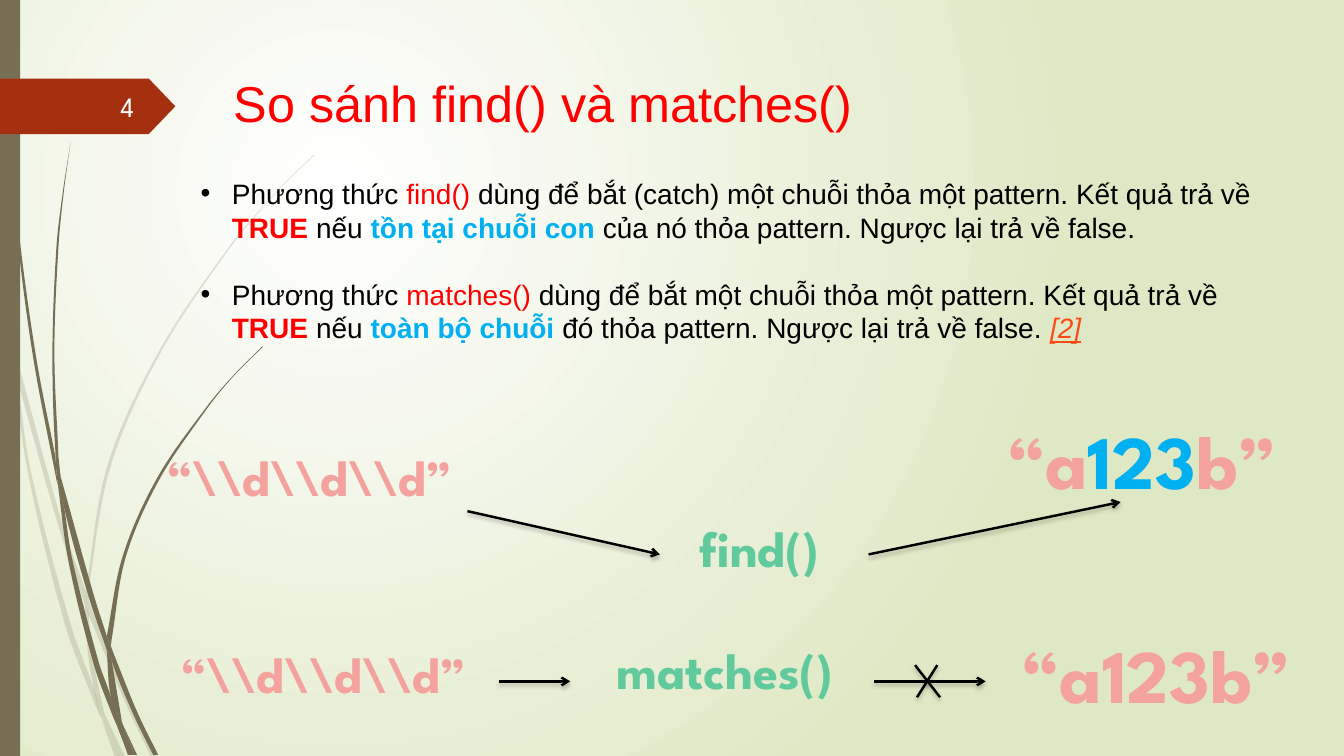
from math import dist
from typing import NamedTuple

from pptx import Presentation
from pptx.dml.color import RGBColor
from pptx.enum.shapes import MSO_CONNECTOR, MSO_SHAPE
from pptx.enum.text import MSO_ANCHOR, MSO_AUTO_SIZE, PP_ALIGN
from pptx.oxml.ns import qn
from pptx.oxml.xmlchemy import OxmlElement
from pptx.util import Cm, Pt

STRAIGHT = MSO_CONNECTOR.STRAIGHT
RECTANGLE, PENTAGON = MSO_SHAPE.RECTANGLE, MSO_SHAPE.PENTAGON
TOP, MIDDLE = MSO_ANCHOR.TOP, MSO_ANCHOR.MIDDLE
NO_AUTOFIT = MSO_AUTO_SIZE.NONE
LEFT, CENTER, RIGHT = PP_ALIGN.LEFT, PP_ALIGN.CENTER, PP_ALIGN.RIGHT

SANS, DISPLAY = "Arial", "League Spartan"
BLACK, WHITE, RED, BLUE = "000000", "FEFFFF", "FF0000", "00B0F0"
OLIVE, RUST, ORANGE = "766F54", "A53010", "FB4A18"
PINK, GREEN = "F3A29D", "60CA9D"

STEM_SCALE = 2.54
PALE_STEMS = [
    ([(.11, 3.5), (.09, 3.22), (0, 2.82)], [(0, 2.99), (.1, 3.44)]),
    ([(.17, 3.76), (.58, 5.22), (.84, 5.99)], [(.85, 5.86), (.62, 5.2), (.14, 3.45)]),
    ([(.88, 6.1), (1.23, 6.94), (1.5, 7.51)],
     [(1.55, 7.51), (1.27, 6.92), (.92, 6.07), (.88, 5.96)]),
    ([(1.05, 7.11), (1.19, 7.51)], [(1.24, 7.51)]),
    ([(.11, 3.5), (.28, 4.7), (.65, 6.21), (.92, 6.93), (1.01, 7.14)],
     [(.99, 7.07), (.93, 6.83), (.7, 6.19), (.31, 4.69), (.17, 3.76)]),
    ([(.84, 5.99), (.87, 6.46), (.93, 6.83), (.96, 6.92), (1.05, 7.11)],
     [(1.03, 7.06), (.91, 6.46), (.88, 6.08)]),
    ([(3.12, 1.53), (2.89, 1.75), (2.68, 1.97), (2.28, 2.44), (1.58, 3.48),
      (1.07, 4.61), (.85, 5.86)],
     [(.88, 5.96), (.88, 5.84), (1.1, 4.62), (1.6, 3.49), (2.29, 2.45),
      (2.68, 1.98), (2.9, 1.75), (3.12, 1.54)]),
    ([(1.01, 7.14), (1.14, 7.51)], [(1.19, 7.51)]),
    ([(.88, 6.1), (.88, 5.96)], [(.85, 5.86), (.84, 5.99)]),
    ([(.93, 6.83), (.99, 7.07), (1.19, 7.51)], [(1.05, 7.11), (.96, 6.92)]),
]
DARK_STEMS = [
    ([(.03, 0), (.04, .48), (.07, 1.1), (.17, 2.33), (.33, 3.55), (.57, 4.81)],
     [(.55, 4.53), (.36, 3.55), (.19, 2.32), (.08, 1.09), (.05, .48), (.04, 0)]),
    ([(.6, 4.72), (.64, 5.05), (.88, 5.92), (1.06, 6.45)],
     [(1.06, 6.31), (.93, 5.9), (.6, 4.72)]),
    ([(1.1, 6.41), (1.11, 6.56), (1.32, 7.08), (1.52, 7.49)],
     [(1.57, 7.49), (1.36, 7.06), (1.13, 6.49)]),
    ([(.57, 4.77), (.68, 5.57), (.93, 6.59), (1.11, 7.08), (1.17, 7.22)],
     [(1.16, 7.17), (1.1, 6.91), (.98, 6.57), (.72, 5.56), (.64, 5.05)]),
    ([(.7, 1.41), (.62, 1.93), (.56, 2.45), (.52, 3.49), (.55, 4.49), (.6, 4.72)],
     [(.58, 4.53), (.54, 3.49), (.58, 2.45), (.63, 1.93), (.7, 1.41)]),
    ([(1.22, 7.19), (1.33, 7.49)], [(1.36, 7.49)]),
    ([(.55, 4.49), (.57, 4.77), (.64, 5.05)], [(.6, 4.72)]),
    ([(2.6, 3.44), (2.31, 3.73), (2.04, 4.05), (1.56, 4.74), (1.22, 5.51), (1.06, 6.31)],
     [(1.1, 6.41), (1.11, 6.33), (1.25, 5.52), (1.58, 4.76), (2.05, 4.06),
      (2.31, 3.74), (2.61, 3.44)]),
    ([(1.17, 7.22), (1.27, 7.49)], [(1.31, 7.49)]),
    ([(1.06, 6.45), (1.1, 6.91), (1.22, 7.19)], [(1.21, 7.16), (1.11, 6.56)]),
    ([(1.06, 6.31), (1.06, 6.45)], [(1.11, 6.56), (1.1, 6.41)]),
    ([(1.1, 6.91), (1.17, 7.22), (1.3, 7.49)], [(1.33, 7.49), (1.22, 7.19), (1.16, 7.06)]),
]


class Box(NamedTuple):
    left: float
    top: float
    width: float
    height: float

    def inner(self, left, top, width, height):
        return Box(self.left + left, self.top + top, width, height)

    def lengths(self):
        return [Cm(value) for value in self]


def color(hex_text):
    return RGBColor.from_string(hex_text)


def add_element(parent, tag, **attributes):
    element = OxmlElement(tag)
    for name, value in attributes.items():
        element.set(name, str(value))
    parent.append(element)
    return element


def paint(shape, fill, opacity=100):
    shape.shadow.inherit = False
    shape.fill.solid()
    shape.fill.fore_color.rgb = color(fill)
    shape.line.fill.background()
    if opacity < 100:
        tint = shape.fill._xPr.find(".//" + qn("a:srgbClr"))
        add_element(tint, "a:alpha", val=opacity * 1000)


def add_span(para, text, size=20, font=SANS, ink=BLACK, bold=False, italic=False, underline=False):
    span = para.add_run()
    span.text = text
    span.font.size, span.font.name = Pt(size), font
    span.font.color.rgb = color(ink)
    span.font.bold, span.font.italic, span.font.underline = bold, italic, underline


def set_frame(frame, anchor=TOP):
    frame.word_wrap, frame.auto_size, frame.vertical_anchor = True, NO_AUTOFIT, anchor


def add_label(page, box, spans, align=CENTER, anchor=TOP, **style):
    frame = page.shapes.add_textbox(*box.lengths()).text_frame
    set_frame(frame, anchor)
    para = frame.paragraphs[0]
    para.alignment = align
    for text, ink in spans:
        add_span(para, text, ink=ink, **style)


def place(holder, box):
    holder.left, holder.top, holder.width, holder.height = box.lengths()


def curve_points(side):
    padded = [side[0], *side, side[-1]]
    for before, start, end, after in zip(padded, padded[1:], padded[2:], padded[3:]):
        reach = dist(start, end) / 3
        lead, trail = reach / dist(before, end), reach / dist(start, after)
        yield tuple(s + (e - b) * lead for b, s, e in zip(before, start, end))
        yield tuple(e - (a - s) * trail for s, e, a in zip(start, end, after))
        yield end


def add_stem(page, box, sides, opacity):
    near, far = ([side[0], *curve_points(side)] for side in sides)
    outline = [(Cm(box.left + x * STEM_SCALE), Cm(box.top + y * STEM_SCALE))
               for x, y in near + far]
    builder = page.shapes.build_freeform(*outline[0], scale=1.0)
    builder.add_line_segments(outline[1:], close=True)
    stem = builder.convert_to_shape()
    lines = list(stem._element.iter(qn("a:lnTo")))
    joint = len(near) - 1
    for run in (lines[:joint], lines[joint + 1:]):
        for first, second, third in zip(run[::3], run[1::3], run[2::3]):
            curve = OxmlElement("a:cubicBezTo")
            first.addprevious(curve)
            for line in (first, second, third):
                curve.append(line[0])
                line.getparent().remove(line)
    paint(stem, OLIVE, opacity)


def draw_background(page):
    fill = page.background.fill
    fill.gradient()
    for stop, position, tint in zip(fill.gradient_stops, (0, 1), ("FFFFFF", "DFE8C4")):
        stop.position, stop.color.rgb = position, color(tint)
    gradient = page._element.find(".//" + qn("a:gradFill"))
    gradient.remove(gradient.find(qn("a:lin")))
    circle = add_element(gradient, "a:path", path="circle")
    add_element(circle, "a:fillToRect", l=50000, t=50000, r=100000, b=100000)


def draw_decoration(page, box):
    for stems, opacity in ((PALE_STEMS, 20), (DARK_STEMS, 100)):
        for sides in stems:
            add_stem(page, box, sides, opacity)
    side_bar = box.inner(0, 0, .51, box.height)
    paint(page.shapes.add_shape(RECTANGLE, *side_bar.lengths()), OLIVE)


def draw_number_tag(page, box, number):
    tag = page.shapes.add_shape(PENTAGON, *box.lengths())
    tag.adjustments[0] = .48
    paint(tag, RUST)
    add_label(page, box.inner(1.47, .2, 2.16, 1.02), [(number, WHITE)],
              align=RIGHT, anchor=MIDDLE, font=DISPLAY)


def fill_title(page, box, text):
    title = page.shapes.title
    place(title, box)
    set_frame(title.text_frame)
    para = title.text_frame.paragraphs[0]
    para.alignment = LEFT
    add_span(para, text, size=36, ink=RED)


def fill_list(page, box, items):
    body = page.placeholders[1]
    place(body, box)
    frame = body.text_frame
    set_frame(frame)
    for index, spans in enumerate(items):
        para = frame.add_paragraph() if index else frame.paragraphs[0]
        para.space_before = Pt(24 if index else 0)
        settings = para._p.get_or_add_pPr()
        settings.set("marL", str(Cm(.79)))
        settings.set("indent", str(-Cm(.79)))
        add_element(settings, "a:buFont", typeface=SANS)
        add_element(settings, "a:buChar", char="•")
        for text, style in spans:
            add_span(para, text, **style)


def add_line(page, box, start, end, arrow=True):
    ends = [Cm(value) for x, y in (start, end) for value in (box.left + x, box.top + y)]
    connector = page.shapes.add_connector(STRAIGHT, *ends)
    connector.line.width = Pt(1.75)
    connector.line.color.rgb = color(BLACK)
    if arrow:
        add_element(connector.line._get_or_add_ln(), "a:tailEnd", type="arrow")
    effects = add_element(connector._element.spPr, "a:effectLst")
    shadow = add_element(effects, "a:outerShdw", blurRad=Pt(3), dist=Pt(2), dir=5400000)
    tint = add_element(shadow, "a:srgbClr", val=BLACK)
    add_element(tint, "a:alpha", val=25000)


def draw_comparison(page, box):
    pattern = [("“\\\\d\\\\d\\\\d”", PINK)]
    found = [("“a", PINK), ("123", BLUE), ("b”", PINK)]
    labels = [((21.03, 0, 9.35, 2.57), found, 54),
              ((21.77, 5.38, 8.59, 2.57), [("“a123b”", PINK)], 54),
              ((12.09, 2.59, 7.95, 1.8), [("find()", GREEN)], 36),
              ((11.22, 5.66, 7.95, 1.8), [("matches()", GREEN)], 36),
              ((0, .81, 9.45, 1.8), pattern, 36), ((.36, 5.77, 9.45, 1.8), pattern, 36)]
    for area, spans, size in labels:
        add_label(page, box.inner(*area), spans, size=size, font=DISPLAY, bold=True)
    arrows = [((8.71, 2.57), (13.56, 3.66)), ((18.82, 3.66), (25.17, 2.34)),
              ((9.5, 6.86), (11.3, 6.86)), ((18.95, 6.86), (21.77, 6.86))]
    cross = [((19.99, 6.45), (20.62, 7.26)), ((20.55, 6.45), (20.04, 7.26))]
    for start, end in arrows + cross:
        add_line(page, box, start, end, arrow=(start, end) in arrows)


def method_item(method, action, scope, ending):
    return [("Phương thức ", {}), (method + " ", {"ink": RED}),
            (f"dùng để {action} một chuỗi thỏa một pattern. Kết quả trả về ", {}),
            ("TRUE ", {"ink": RED, "bold": True}), ("nếu ", {}),
            (scope, {"ink": BLUE, "bold": True}),
            (f" {ending} thỏa pattern. Ngược lại trả về false.", {})]


deck = Presentation()
deck.slide_width, deck.slide_height = Cm(33.87), Cm(19.05)
page = deck.slides.add_slide(deck.slide_layouts[1])
citation = [(" ", {}), ("[2]", {"ink": ORANGE, "italic": True, "underline": True})]
draw_background(page)
draw_decoration(page, Box(0, 0, 33.87, 19.05))
draw_number_tag(page, Box(0, 1.98, 4.42, 1.4), "4")
fill_title(page, Box(5.64, 1.7, 21.92, 1.96), "So sánh find() và matches()")
fill_list(page, Box(4.8, 4.32, 27.74, 4.52), [
    method_item("find()", "bắt (catch)", "tồn tại chuỗi con", "của nó"),
    method_item("matches()", "bắt", "toàn bộ chuỗi", "đó") + citation])
draw_comparison(page, Box(3.07, 10.31, 30.38, 7.95))
deck.save("out.pptx")
